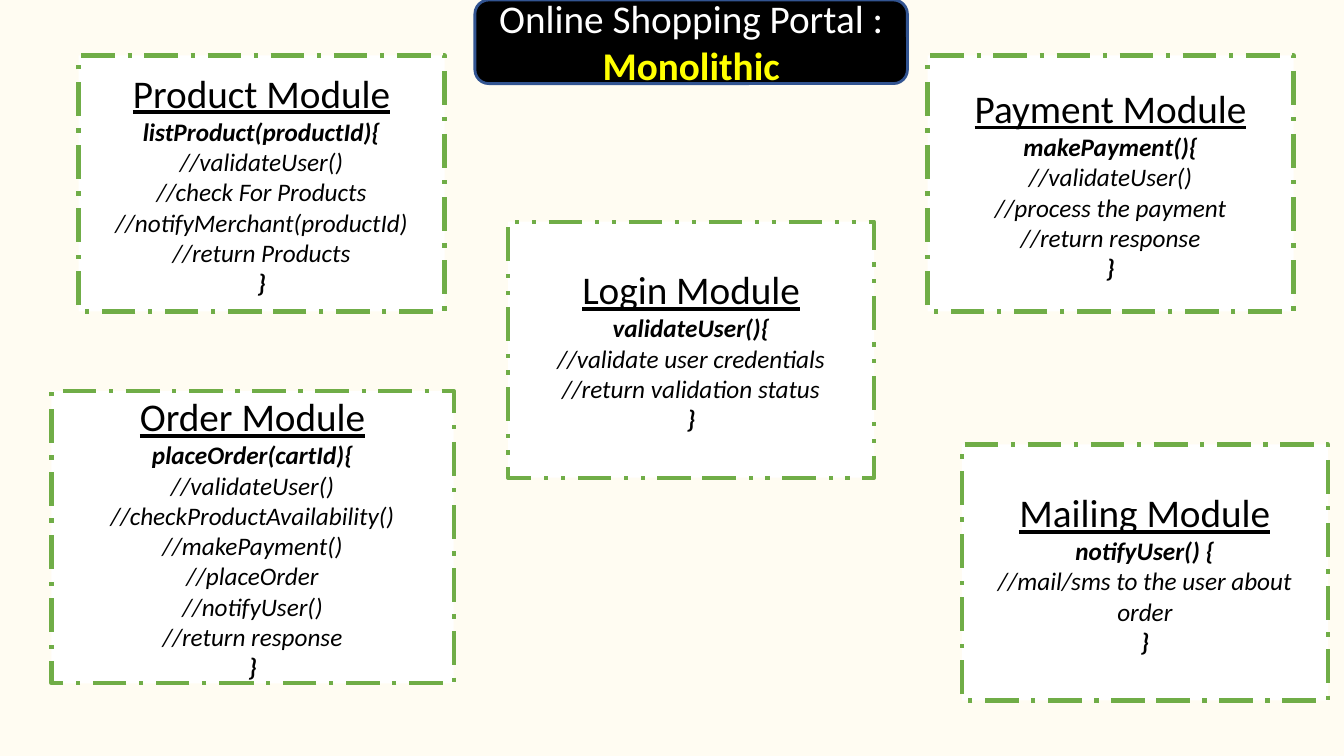
from dataclasses import dataclass

from pptx import Presentation
from pptx.dml.color import RGBColor
from pptx.enum.dml import MSO_LINE
from pptx.enum.shapes import MSO_SHAPE
from pptx.enum.text import MSO_ANCHOR, PP_ALIGN
from pptx.util import Inches, Pt

RECTANGLE = MSO_SHAPE.RECTANGLE
ROUNDED = MSO_SHAPE.ROUNDED_RECTANGLE
DASH_DOT = MSO_LINE.LONG_DASH_DOT
DASH_DOT_DOT = MSO_LINE.DASH_DOT_DOT
MIDDLE = MSO_ANCHOR.MIDDLE
CENTER = PP_ALIGN.CENTER


@dataclass(frozen=True)
class Theme:
    font: str = "Calibri"
    heading_size: int = 28
    code_size: int = 18
    background: str = "FFFCF2"
    card: str = "FFFFFF"
    card_line: str = "70AD47"
    text: str = "000000"
    banner: str = "000000"
    banner_line: str = "325491"
    banner_text: str = "FFFFFF"
    accent: str = "FFFF00"


THEME = Theme()
SLIDE_WIDTH, SLIDE_HEIGHT = 13.33, 7.5

# Shared card geometry
CARD_WIDTH, CARD_HEIGHT = 3.63, 2.54
TOP_ROW = 0.55

# Box, dash, heading, signature, body lines
MODULES = [
    ((0.78, TOP_ROW, CARD_WIDTH, CARD_HEIGHT), DASH_DOT,
     "Product Module", "listProduct(productId){",
     ["//validateUser()", "//check For Products",
      "//notifyMerchant(productId)", "//return Products"]),
    ((5.04, 2.2, CARD_WIDTH, CARD_HEIGHT), DASH_DOT_DOT,
     "Login Module", "validateUser(){",
     ["//validate user credentials", "//return validation status"]),
    ((0.51, 3.88, 3.99, 2.9), DASH_DOT,
     "Order Module", "placeOrder(cartId){",
     ["//validateUser()", "//checkProductAvailability()", "//makePayment()",
      "//placeOrder", "//notifyUser()", "//return response"]),
    ((9.2, TOP_ROW, CARD_WIDTH, CARD_HEIGHT), DASH_DOT,
     "Payment Module", "makePayment(){",
     ["//validateUser()", "//process the payment", "//return response"]),
    ((9.54, 4.41, CARD_WIDTH, CARD_HEIGHT), DASH_DOT,
     "Mailing Module", "notifyUser() {",
     ["//mail/sms to the user about order"]),
]


def color(value):
    return RGBColor.from_string(value)


def add_text(paragraph, text, size, fill=THEME.text, bold=False, italic=False,
             underline=False):
    paragraph.alignment = CENTER
    run = paragraph.add_run()
    run.text = text
    font = run.font
    font.name, font.size = THEME.font, Pt(size)
    font.bold, font.italic, font.underline = bold, italic, underline
    font.color.rgb = color(fill)


def add_box(slide, kind, box, fill, line, line_width):
    shape = slide.shapes.add_shape(kind, *(Inches(length) for length in box))
    shape.shadow.inherit = False
    shape.fill.solid()
    shape.fill.fore_color.rgb = color(fill)
    shape.line.color.rgb = color(line)
    shape.line.width = Pt(line_width)
    shape.text_frame.word_wrap = True
    shape.text_frame.vertical_anchor = MIDDLE
    return shape


def add_module(slide, box, dash, heading, signature, body):
    shape = add_box(slide, RECTANGLE, box, THEME.card, THEME.card_line, 3)
    shape.line.dash_style = dash
    frame = shape.text_frame
    add_text(frame.paragraphs[0], heading, THEME.heading_size, underline=True)
    # Signature and closing brace are bold, the steps between are not
    for line in [signature, *body, "}"]:
        add_text(frame.add_paragraph(), line, THEME.code_size, italic=True,
                 bold=line not in body)


def add_banner(slide, box):
    shape = add_box(slide, ROUNDED, box, THEME.banner, THEME.banner_line, 2)
    paragraph = shape.text_frame.paragraphs[0]
    add_text(paragraph, "Online Shopping Portal : ", THEME.heading_size,
             fill=THEME.banner_text)
    add_text(paragraph, "Monolithic", THEME.heading_size, fill=THEME.accent,
             bold=True)


def main():
    presentation = Presentation()
    presentation.slide_width = Inches(SLIDE_WIDTH)
    presentation.slide_height = Inches(SLIDE_HEIGHT)
    slide = presentation.slides.add_slide(presentation.slide_layouts[6])
    slide.background.fill.solid()
    slide.background.fill.fore_color.rgb = color(THEME.background)

    # Modules of the portal
    for module in MODULES:
        add_module(slide, *module)

    # Title banner
    add_banner(slide, (4.71, 0, 4.29, 0.83))
    presentation.save("out.pptx")


if __name__ == "__main__":
    main()
